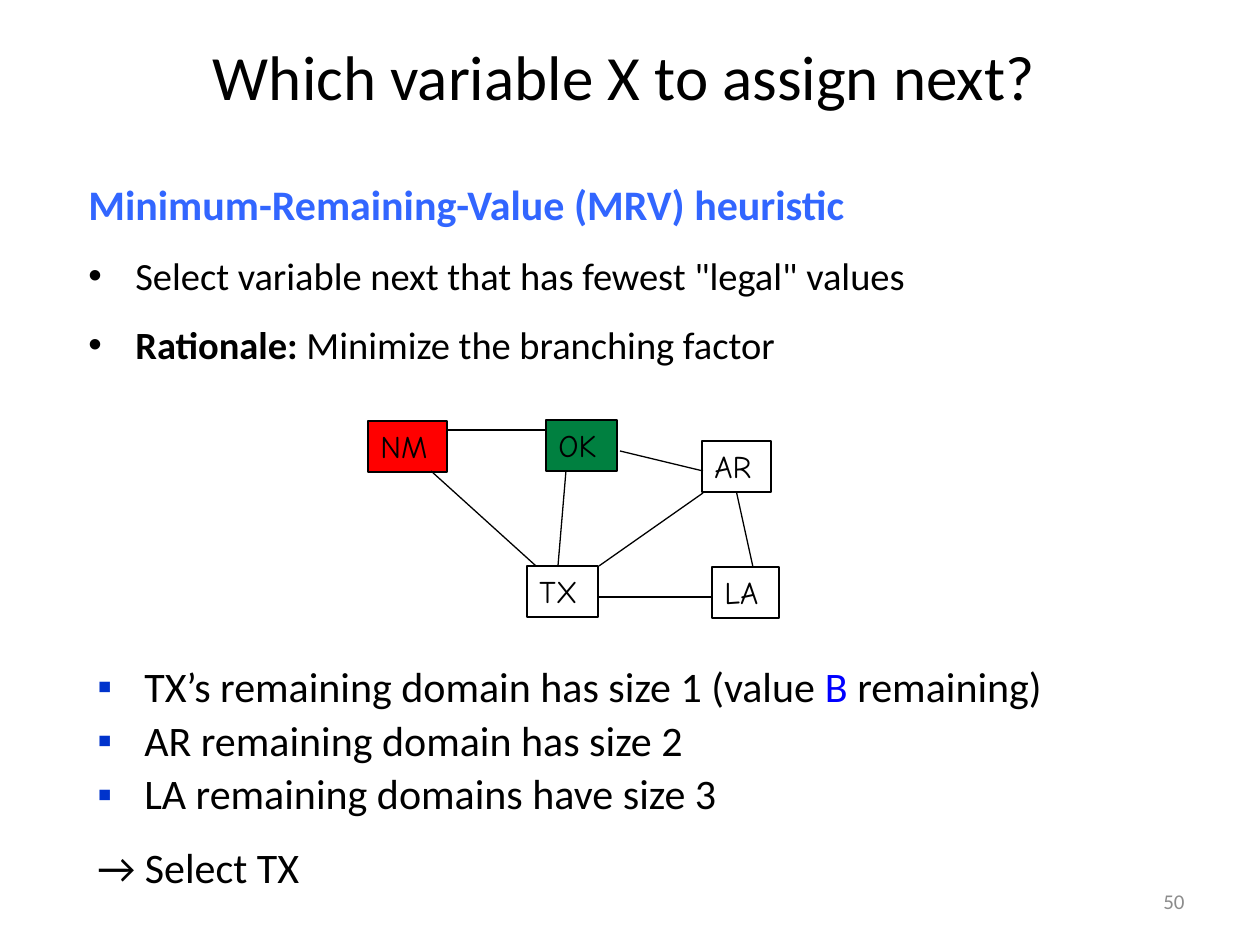
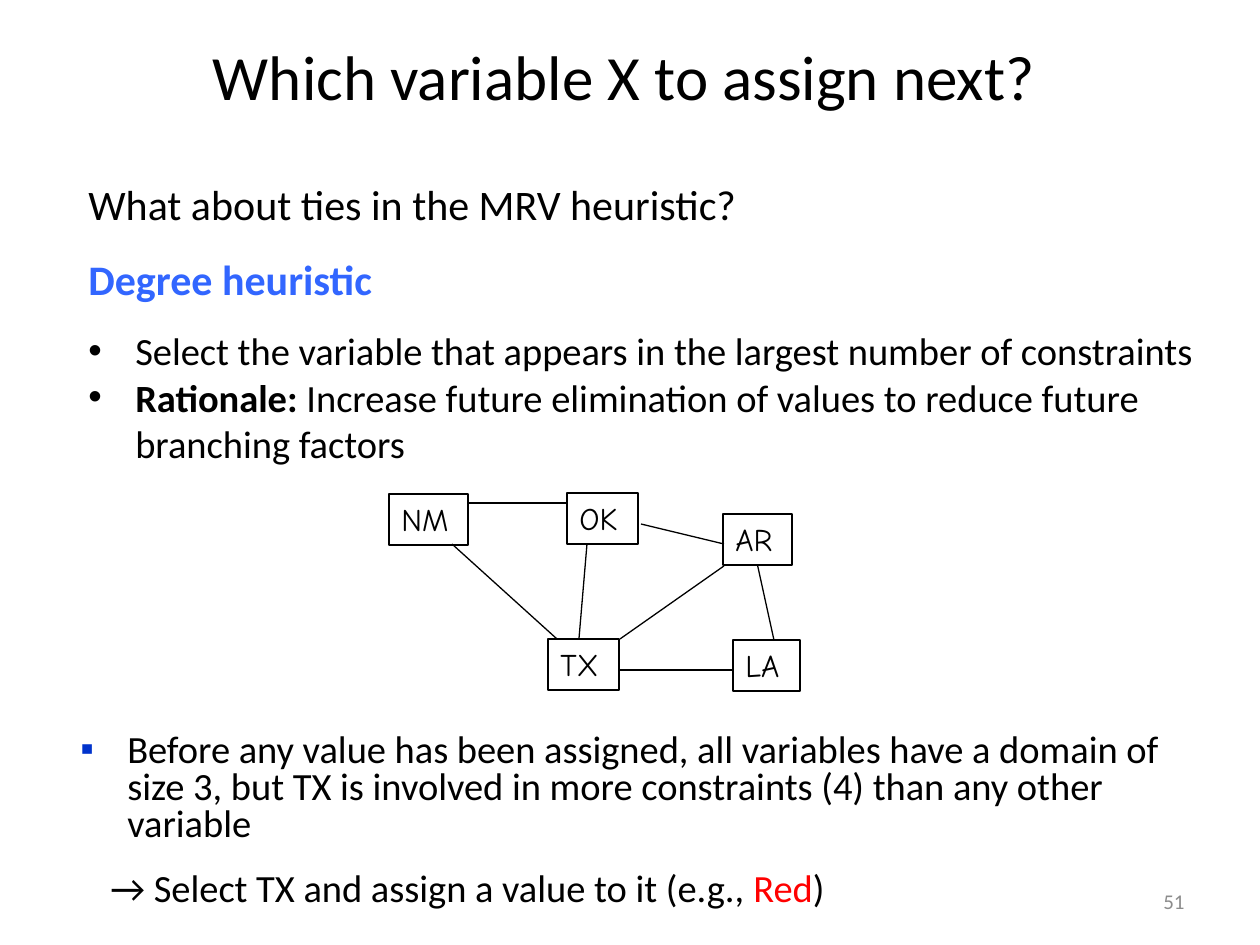
from lxml import etree
from pptx import Presentation
from pptx.dml.color import RGBColor
from pptx.enum.shapes import MSO_CONNECTOR, MSO_SHAPE
from pptx.enum.text import MSO_ANCHOR, MSO_AUTO_SIZE, PP_ALIGN
from pptx.oxml.ns import qn
from pptx.util import Emu, Pt

LINE = MSO_CONNECTOR.STRAIGHT
RECT = MSO_SHAPE.RECTANGLE
TOP, MIDDLE = MSO_ANCHOR.TOP, MSO_ANCHOR.MIDDLE
LEFT, CENTER, RIGHT = PP_ALIGN.LEFT, PP_ALIGN.CENTER, PP_ALIGN.RIGHT
GROW = MSO_AUTO_SIZE.SHAPE_TO_FIT_TEXT
BOTTOM = 2
FONT, HAND = "Calibri", "Comic Neue"
HANG = 47
COLORS = {
    "black": "000000",
    "white": "FFFFFF",
    "gray": "8C8C8C",
    "head": "3266FF",
    "mark": "0033CC",
    "blue": "0000FF",
    "red": "FF0000",
    "green": "008040",
}
NODES = {
    "NM": (368, 421, 79),
    "OK": (546, 420, 71),
    "AR": (702, 441, 69),
    "LA": (712, 567, 67),
    "TX": (527, 566, 71),
}
TALL = 51
EDGES = [
    (447, 430, 546, 430),
    (431, 471, 536, 566),
    (566, 471, 558, 566),
    (620, 451, 703, 471),
    (599, 597, 712, 597),
    (703, 493, 599, 566),
]
AR_LA = (736, 492, 753, 567)


def px(*nums):
    """Turn pixel lengths into a list of EMU."""
    return [Emu(round(num * 914400 / 126)) for num in nums]


def rgb(name):
    """Look up a colour by name."""
    return RGBColor.from_string(COLORS[name])


def add_run(para, words, size, color="black", bold=False, face=FONT):
    """Add one styled run to a paragraph."""
    run = para.add_run()
    run.text = words
    font = run.font
    font.name, font.size, font.bold = face, Pt(size), bold
    font.color.rgb = rgb(color)


def add_mark(para, char, color):
    """Give a paragraph a hanging bullet."""
    props = para._p.get_or_add_pPr()
    hang = px(HANG)[0]
    props.set("marL", str(hang))
    props.set("indent", str(-hang))
    tint = etree.SubElement(props, qn("a:buClr"))
    etree.SubElement(tint, qn("a:srgbClr")).set("val", COLORS[color])
    etree.SubElement(props, qn("a:buFont")).set("typeface", "Arial")
    etree.SubElement(props, qn("a:buChar")).set("char", char)


def add_para(frame, runs, size, line=1.0, gap=0, mark=None, align=LEFT):
    """Fill the first empty paragraph, or add one, with runs."""
    para = frame.paragraphs[0]
    if para.runs:
        para = frame.add_paragraph()
    if mark:
        add_mark(para, *mark)
    para.alignment, para.line_spacing = align, line
    para.space_before = Pt(gap)
    for run in runs:
        add_run(para, run[0], size, *run[1:])


def add_text(slide, area, anchor=TOP):
    """Add a wrapping text box and return its frame."""
    frame = slide.shapes.add_textbox(*px(*area)).text_frame
    frame.word_wrap, frame.vertical_anchor = True, anchor
    return frame


def add_node(slide, name, area, fill):
    """Draw one labelled box of the graph."""
    box = slide.shapes.add_shape(RECT, *px(*area))
    box.shadow.inherit = False
    box.fill.solid()
    box.fill.fore_color.rgb = rgb(fill)
    box.line.color.rgb, box.line.width = rgb("black"), Pt(0.75)
    frame = box.text_frame
    frame.word_wrap, frame.auto_size = False, GROW
    frame.vertical_anchor = TOP
    para = frame.paragraphs[0]
    para.alignment = LEFT
    add_run(para, name, 18, face=HAND)
    return box


def add_edge(slide, ends, dx, dy):
    """Draw one line of the graph."""
    x1, y1, x2, y2 = ends
    edge = slide.shapes.add_connector(LINE, *px(x1 + dx, y1 + dy, x2 + dx, y2 + dy))
    edge.line.color.rgb, edge.line.width = rgb("black"), Pt(0.75)
    etree.SubElement(edge._element.spPr, qn("a:effectLst"))
    return edge


def add_graph(slide, dx=0, dy=0, fills=None):
    """Draw the map graph, shifted, with some boxes coloured."""
    fills = fills or {}
    boxes = {}
    for name, (x, y, wide) in NODES.items():
        area = (x + dx, y + dy, wide, TALL)
        boxes[name] = add_node(slide, name, area, fills.get(name, "white"))
    for ends in EDGES:
        add_edge(slide, ends, dx, dy)
    add_edge(slide, AR_LA, dx, dy).begin_connect(boxes["AR"], BOTTOM)


def add_page(deck, number):
    """Add a blank slide with the title and page number."""
    slide = deck.slides.add_slide(deck.slide_layouts[6])
    foot = add_text(slide, (903, 876, 294, 50), MIDDLE)
    add_para(foot, [(number, "gray")], 12, align=RIGHT)
    title = add_text(slide, (199, 31, 850, 89))
    add_para(title, [("Which variable X to assign next?",)], 36, align=CENTER)
    return slide


def make_mrv(deck):
    """Build the slide on the MRV heuristic."""
    dot, square = ("•", "black"), ("▪", "mark")
    slide = add_page(deck, "50")
    idea = add_text(slide, (76, 147, 976, 229))
    add_para(idea, [("Minimum-Remaining-Value (MRV) heuristic", "head", True)], 24, 1.5)
    add_para(idea, [('Select variable next that has fewest "legal" values',)], 22, 1.5, mark=dot)
    why = [("Rationale: ", "black", True), ("Minimize the branching factor",)]
    add_para(idea, why, 22, 1.5, mark=dot)
    add_graph(slide, fills={"NM": "red", "OK": "green"})
    sizes = add_text(slide, (85, 660, 1155, 283))
    rows = [
        [("TX’s remaining domain has size 1 (value ",), ("B", "blue"), (" remaining)",)],
        [("AR remaining domain has size 2",)],
        [("LA remaining domains have size 3",)],
    ]
    for index, runs in enumerate(rows):
        add_para(sizes, runs, 24, 0.9, 4.8 if index else 0, square)
    add_para(sizes, [("→ Select TX",)], 24, 0.9, 16.4)


def make_degree(deck):
    """Build the slide on the degree heuristic."""
    dot, square = ("•", "black"), ("▪", "mark")
    slide = add_page(deck, "51")
    idea = add_text(slide, (76, 147, 1173, 329))
    add_para(idea, [("What about ties in the MRV heuristic?",)], 24, 1.5)
    add_para(idea, [("Degree heuristic", "head", True)], 24, 1.5)
    rule = "Select the variable that appears in the largest number of constraints"
    add_para(idea, [(rule,)], 22, 1.5, mark=dot)
    gain = "Increase future elimination of values to reduce future branching factors"
    add_para(idea, [("Rationale: ", "black", True), (gain,)], 22, mark=dot)
    add_graph(slide, 21, 73)
    note = add_text(slide, (68, 728, 1144, 112))
    case = (
        "Before any value has been assigned, all variables have a domain of size 3, "
        "but TX is involved in more constraints (4) than any other variable"
    )
    add_para(note, [(case,)], 22, 0.8, mark=square)
    pick = add_text(slide, (98, 858, 1008, 59))
    runs = [("→ Select TX and assign a value to it (e.g., ",), ("Red", "red"), (")",)]
    add_para(pick, runs, 22)


def main():
    """Build and save the deck."""
    deck = Presentation()
    deck.slide_width, deck.slide_height = px(1260, 945)
    make_mrv(deck)
    make_degree(deck)
    deck.save("out.pptx")


if __name__ == "__main__":
    main()
